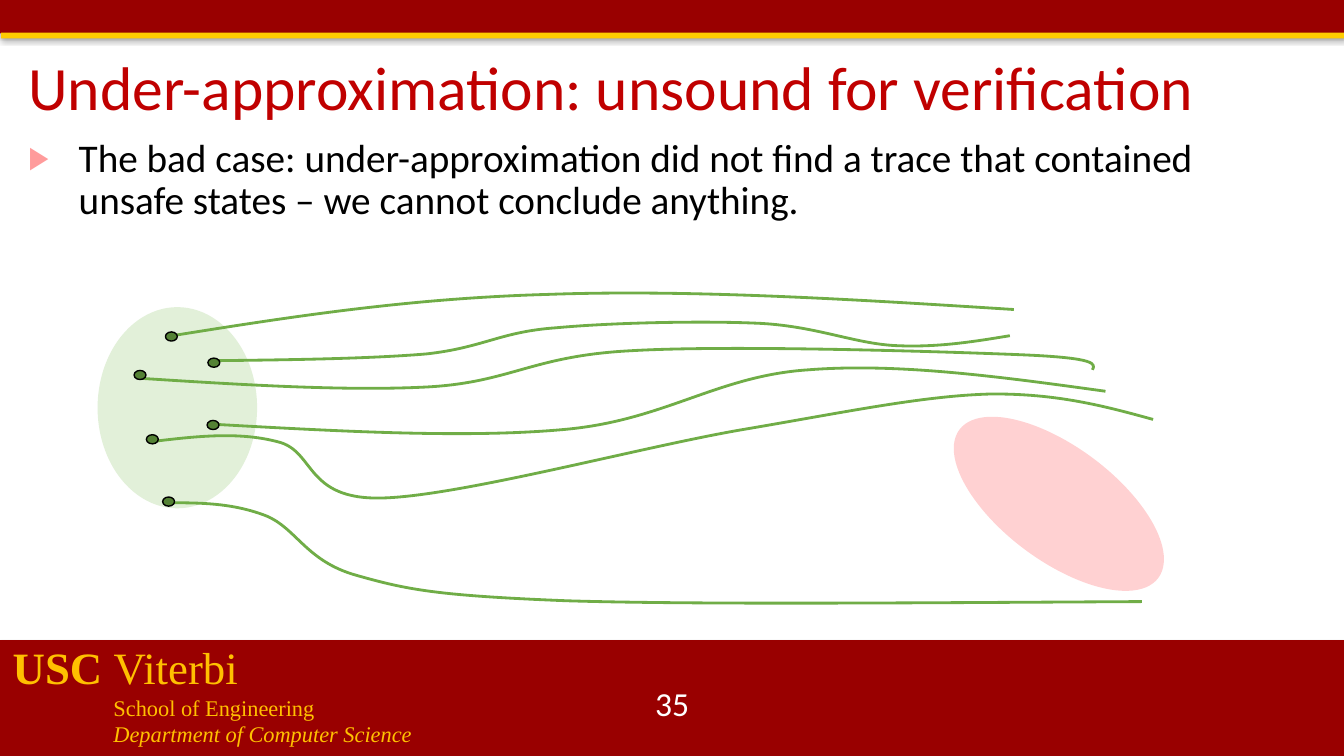
import pptx
import pptx.util
import pptx.dml.color
import pptx.enum.shapes
import pptx.enum.text
import pptx.oxml
import pptx.oxml.ns

Cm, Pt = pptx.util.Cm, pptx.util.Pt
MSO = pptx.enum.shapes.MSO_SHAPE
ANCHOR = pptx.enum.text.MSO_ANCHOR
ALIGN = pptx.enum.text.PP_ALIGN
NO_FIT = pptx.enum.text.MSO_AUTO_SIZE.NONE
NS = pptx.oxml.ns.nsdecls("a")


def rgb(value):
    return pptx.dml.color.RGBColor.from_string(value)


def write(p, text, color, **formats):
    r = p.add_run()
    r.text = text
    r.font.color.rgb = rgb(color)
    for name, value in formats.items():
        setattr(r.font, name, value)


prs = pptx.Presentation()
prs.slide_width, prs.slide_height = Cm(33.87), Cm(19.05)
s = prs.slides.add_slide(prs.slide_layouts[1])

# Bars at the top and bottom, each with a soft shadow
bars = [
    (0, 16.13, 2.92, "990000"),
    (0, 0, 0.84, "990000"),
    (0.03, 0.82, 0.15, "FFCC00"),
]
for left, top, height, color in bars:
    sp = s.shapes.add_shape(MSO.RECTANGLE, Cm(left), Cm(top), prs.slide_width, Cm(height))
    sp.fill.solid()
    sp.fill.fore_color.rgb = rgb(color)
    sp.line.fill.background()
    sp._element.spPr.append(pptx.oxml.parse_xml(
        f'<a:effectLst {NS}><a:outerShdw blurRad="40000" dist="23000" dir="5400000" rotWithShape="0">'
        '<a:srgbClr val="000000"><a:alpha val="35000"/></a:srgbClr></a:outerShdw></a:effectLst>'))

# School name in the footer
tf = s.shapes.add_textbox(Cm(0.07), Cm(16), Cm(15.88), Cm(3)).text_frame
tf.word_wrap = True
p = tf.paragraphs[0]
serif = {"name": "Times New Roman"}
write(p, "USC ", "FFC000", size=Pt(32), bold=True, **serif)
write(p, "Viterbi", "FFC000", size=Pt(32), **serif)
for text, italic in [("School of Engineering", False), ("Department of Computer Science", True)]:
    p = tf.add_paragraph()
    p._p.get_or_add_pPr().set("marL", str(Cm(2.54)))
    write(p, text, "FFC000", size=Pt(16), italic=italic, **serif)

# Slide number
tf = s.shapes.add_textbox(Cm(13.13), Cm(17.21), Cm(7.62), Cm(1.02)).text_frame
tf.word_wrap = True
tf.vertical_anchor = ANCHOR.MIDDLE
p = tf.paragraphs[0]
p.alignment = ALIGN.CENTER
write(p, "35", "FFFFFF", size=Pt(24), name="Calibri")

# Title and bullet
title, body = s.shapes.title, s.placeholders[1]
texts = [
    (title, (0.46, 1.19, 30.33, 2.16), ANCHOR.MIDDLE, 44, "C00000",
     "Under-approximation: unsound for verification"),
    (body, (0.46, 3.36, 32.49, 2.67), ANCHOR.TOP, 28, "000000",
     "The bad case: under-approximation did not find a trace that contained "
     "unsafe states – we cannot conclude anything."),
]
for sp, box, anchor, size, color, text in texts:
    sp.left, sp.top, sp.width, sp.height = map(Cm, box)
    tf = sp.text_frame
    for name, value in {"word_wrap": True, "auto_size": NO_FIT, "vertical_anchor": anchor}.items():
        setattr(tf, name, value)
    p = tf.paragraphs[0]
    for name, value in {"alignment": ALIGN.LEFT, "line_spacing": 0.9, "space_before": Pt(0)}.items():
        setattr(p, name, value)
    write(p, text, color, size=Pt(size), name="Calibri")

pPr = body.text_frame.paragraphs[0]._p.get_or_add_pPr()
pPr.set("marL", str(Cm(1.27)))
pPr.set("indent", str(Cm(-1.27)))
for bullet in ('<a:buClr {}><a:srgbClr val="FF9B9B"/></a:buClr>', '<a:buSzPct {} val="80000"/>',
               '<a:buFont {} typeface="Arial"/>', '<a:buChar {} char="▶"/>'):
    pPr.append(pptx.oxml.parse_xml(bullet.format(NS)))

# Initial states (green) and unsafe states (red)
regions = [
    ((2.46, 7.74, 4.02, 5.07), 0, "E2F0D9"),
    ((25.25, 9.57, 2.87, 6.25), 306.7, "FFD1D2"),
]
for box, angle, color in regions:
    sp = s.shapes.add_shape(MSO.OVAL, *map(Cm, box))
    sp.rotation = angle
    sp.shadow.inherit = False
    sp.fill.solid()
    sp.fill.fore_color.rgb = rgb(color)
    sp.line.fill.background()

# Traces as Bezier curves: a start point, then two handles and an end per segment
traces = [
    [(4.22, 8.48), (7.21, 8), (10.24, 7.52), (13.79, 7.42),
     (17.35, 7.29), (21.46, 7.54), (25.55, 7.8)],
    [(5.33, 9.09), (7.32, 9.07), (9.3, 9.04), (10.74, 8.92),
     (12.19, 8.76), (12.6, 8.36), (14.02, 8.26),
     (15.42, 8.13), (17.75, 8.08), (19.18, 8.15),
     (20.6, 8.23), (21.54, 8.66), (22.58, 8.71),
     (23.62, 8.76), (24.54, 8.61), (25.45, 8.46)],
    [(3.48, 9.53), (6.12, 9.7), (8.74, 9.86), (10.8, 9.75),
     (12.88, 9.63), (13.41, 8.97), (15.88, 8.84),
     (18.36, 8.69), (23.77, 8.86), (25.73, 8.94),
     (27.66, 9.02), (27.61, 9.17), (27.53, 9.32)],
    [(5.36, 10.69), (8.56, 10.87), (11.76, 11.05), (14.25, 10.82),
     (16.76, 10.59), (18.08, 9.47), (20.37, 9.32),
     (22.63, 9.14), (25.25, 9.5), (27.86, 9.86)],
    [(3.81, 11.13), (4.9, 11), (5.99, 10.87), (6.99, 11.13),
     (7.95, 11.35), (7.67, 12.6), (9.63, 12.55),
     (11.61, 12.5), (16.21, 11.25), (18.75, 10.82),
     (21.29, 10.39), (23.22, 9.98), (24.94, 9.93),
     (26.64, 9.91), (27.86, 10.24), (29.06, 10.57)],
    [(4.39, 12.67), (5.18, 12.67), (5.94, 12.7), (6.71, 13),
     (7.47, 13.31), (7.72, 14.15), (8.99, 14.5),
     (10.26, 14.86), (11, 15.01), (14.3, 15.14),
     (17.6, 15.24), (23.19, 15.19), (28.78, 15.16)],
]
for points in traces:
    ends = [tuple(map(Cm, point)) for point in points[::3]]
    builder = s.shapes.build_freeform(*ends[0])
    builder.add_line_segments(ends[1:], close=False)
    sp = builder.convert_to_shape()
    sp.shadow.inherit = False
    sp.fill.background()
    sp.line.color.rgb = rgb("70AD47")
    sp.line.width = Pt(2)
    # Bend each straight segment with its two handles
    for i, segment in enumerate(sp._element.xpath(".//a:lnTo")):
        pts = "".join(f'<a:pt x="{Cm(x) - sp.left}" y="{Cm(y) - sp.top}"/>'
                      for x, y in points[3 * i + 1:3 * i + 4])
        bend = pptx.oxml.parse_xml(f"<a:cubicBezTo {NS}>{pts}</a:cubicBezTo>")
        segment.getparent().replace(segment, bend)

# Start states
dot_w, dot_h = 0.3, 0.23
dots = [(4.32, 8.48), (3.53, 9.45), (5.37, 10.71), (5.39, 9.14), (3.84, 11.07), (4.25, 12.64)]
for x, y in dots:
    sp = s.shapes.add_shape(MSO.OVAL, Cm(x - dot_w / 2), Cm(y - dot_h / 2), Cm(dot_w), Cm(dot_h))
    sp.shadow.inherit = False
    sp.fill.solid()
    sp.fill.fore_color.rgb = rgb("548235")
    sp.line.color.rgb = rgb("000000")
    sp.line.width = Pt(1)

prs.save("out.pptx")
